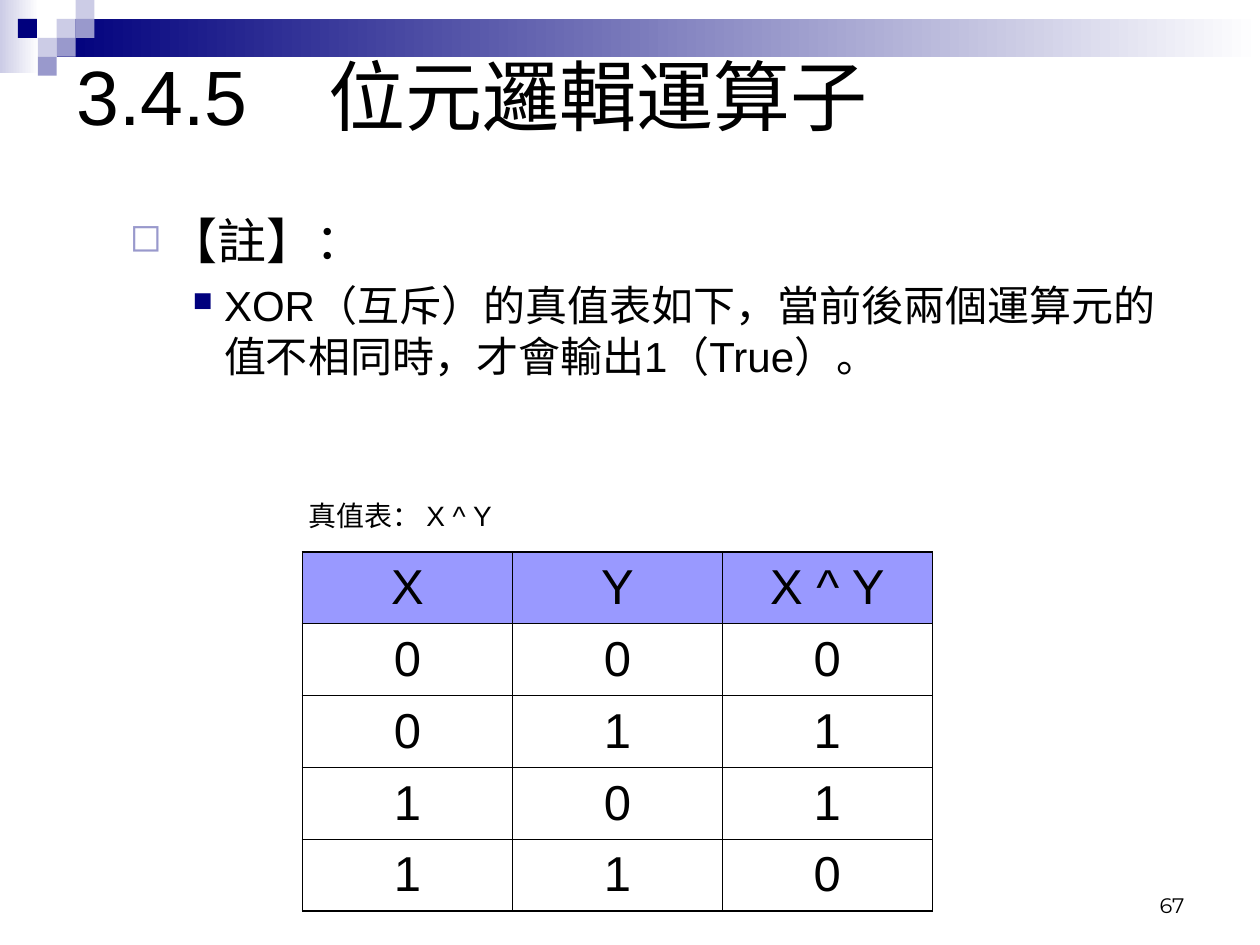
from pptx import Presentation
from pptx import util as u
from pptx.dml.color import RGBColor
from pptx.enum import shapes, text
from pptx.oxml.ns import qn
from lxml import etree

COLORS = {
    "ink": "000000", "paper": "FFFFFF", "navy": "00007D",
    "mist": "CCCCE6", "lilac": "9999CC", "header": "9999FF",
}
COLUMNS, ROWS = 100, 75


def rgb(name):
    return RGBColor.from_string(COLORS[name])


def add_element(parent, tag, **attributes):
    return etree.SubElement(parent, qn(tag), attributes)


def write(paragraph, words, size, font="Arial", align=None, before=None, bullet=None, tab=None):
    properties = paragraph._p.get_or_add_pPr()
    if bullet:
        glyph, color, percent, margin, hang = bullet
        properties.set("marL", str(u.Inches(margin)))
        properties.set("indent", str(-u.Inches(hang)))
        add_element(add_element(properties, "a:buClr"), "a:srgbClr", val=COLORS[color])
        add_element(properties, "a:buSzPct", val=str(percent * 1000))
        add_element(properties, "a:buChar", char=glyph)
    if tab:
        stops = add_element(properties, "a:tabLst")
        add_element(stops, "a:tab", pos=str(u.Inches(tab)), algn="l")
    if align is not None:
        paragraph.alignment = align
    if before:
        paragraph.space_before = u.Pt(before)
    run = paragraph.add_run()
    run.text = words
    run.font.name = font
    run.font.size = u.Pt(size)
    run.font.color.rgb = rgb("ink")


class SlideBuilder:
    def __init__(self, deck):
        self.slide = deck.slides.add_slide(deck.slide_layouts[6])
        self.column = deck.slide_width / COLUMNS
        self.row = deck.slide_height / ROWS

    def place(self, left, top, width, height):
        return (round(left * self.column), round(top * self.row),
                round(width * self.column), round(height * self.row))

    def block(self, area, color, fade_to=None):
        shape = self.slide.shapes.add_shape(shapes.MSO_SHAPE.RECTANGLE, *self.place(*area))
        shape.shadow.inherit = False
        shape.line.fill.background()
        if fade_to:
            shape.fill.gradient()
            shape.fill.gradient_angle = 0
            for stop, name in zip(shape.fill.gradient_stops, (color, fade_to)):
                stop.color.rgb = rgb(name)
        else:
            shape.fill.solid()
            shape.fill.fore_color.rgb = rgb(color)

    def text(self, area, paragraphs, anchor=text.MSO_ANCHOR.TOP, wrap=True):
        frame = self.slide.shapes.add_textbox(*self.place(*area)).text_frame
        frame.word_wrap = wrap
        frame.vertical_anchor = anchor
        for index, (words, style) in enumerate(paragraphs):
            paragraph = frame.add_paragraph() if index else frame.paragraphs[0]
            write(paragraph, words, **style)

    def table(self, area, rows):
        table = self.slide.shapes.add_table(len(rows), len(rows[0]), *self.place(*area)).table
        table.first_row = table.horz_banding = False
        last = len(rows) - 1
        for r, values in enumerate(rows):
            for c, value in enumerate(values):
                cell = table.cell(r, c)
                cell.vertical_anchor = text.MSO_ANCHOR.MIDDLE
                write(cell.text_frame.paragraphs[0], value, 28, align=text.PP_ALIGN.CENTER)
                self.borders(cell, top=1.08 if r == 0 else 0.45,
                             bottom=1.08 if r == last else 0.45)
                if r == 0:
                    cell.fill.solid()
                    cell.fill.fore_color.rgb = rgb("header")
                else:
                    cell.fill.background()

    def borders(self, cell, top, bottom, side=1.08):
        properties = cell._tc.get_or_add_tcPr()
        for edge, width in zip("LRTB", (side, side, top, bottom)):
            line = add_element(properties, f"a:ln{edge}", w=str(u.Pt(width)))
            add_element(add_element(line, "a:solidFill"), "a:srgbClr", val=COLORS["ink"])


def main():
    deck = Presentation()
    deck.slide_width, deck.slide_height = u.Inches(10), u.Inches(7.5)
    page = SlideBuilder(deck)

    page.block((0, 0, 3.1, 5.8), "mist", fade_to="paper")
    page.block((4.5, 1.5, 95.5, 3), "navy", fade_to="paper")
    tile = 1.5
    mosaic = [(3, 1, "mist"), (4, 0, "mist"), (4, 1, "lilac"), (2, 2, "mist"),
              (0.95, 1, "navy"), (3, 2, "lilac"), (2, 3, "lilac")]
    for across, down, color in mosaic:
        page.block((across * tile, down * tile, tile, tile), color)

    page.text((5.1, 0, 90, 15), [("3.4.5\t位元邏輯運算子", dict(size=44, tab=2))],
              anchor=text.MSO_ANCHOR.MIDDLE)
    page.text((4.3, 16.2, 90, 19.7), [
        ("【註】：", dict(size=28, bullet=("◻", "lilac", 80, 0.81, 0.31))),
        ("XOR（互斥）的真值表如下，當前後兩個運算元的值不相同時，才會輸出1（True）。",
         dict(size=24, before=6, bullet=("■", "navy", 65, 1.25, 0.25))),
    ])

    inputs = [(x, y) for x in (0, 1) for y in (0, 1)]
    truth = [("X", "Y", "X ^ Y")] + [(str(x), str(y), str(x ^ y)) for x, y in inputs]
    page.table((24, 43.8, 50, 28.5), truth)
    page.text((23.5, 39.1, 17.7, 3.7), [("真值表： X ^ Y", dict(size=16))], wrap=False)
    page.text((71.7, 68.3, 23.3, 5),
              [("67", dict(size=12, font="Montserrat", align=text.PP_ALIGN.RIGHT))],
              anchor=text.MSO_ANCHOR.BOTTOM)
    deck.save("out.pptx")


if __name__ == "__main__":
    main()
